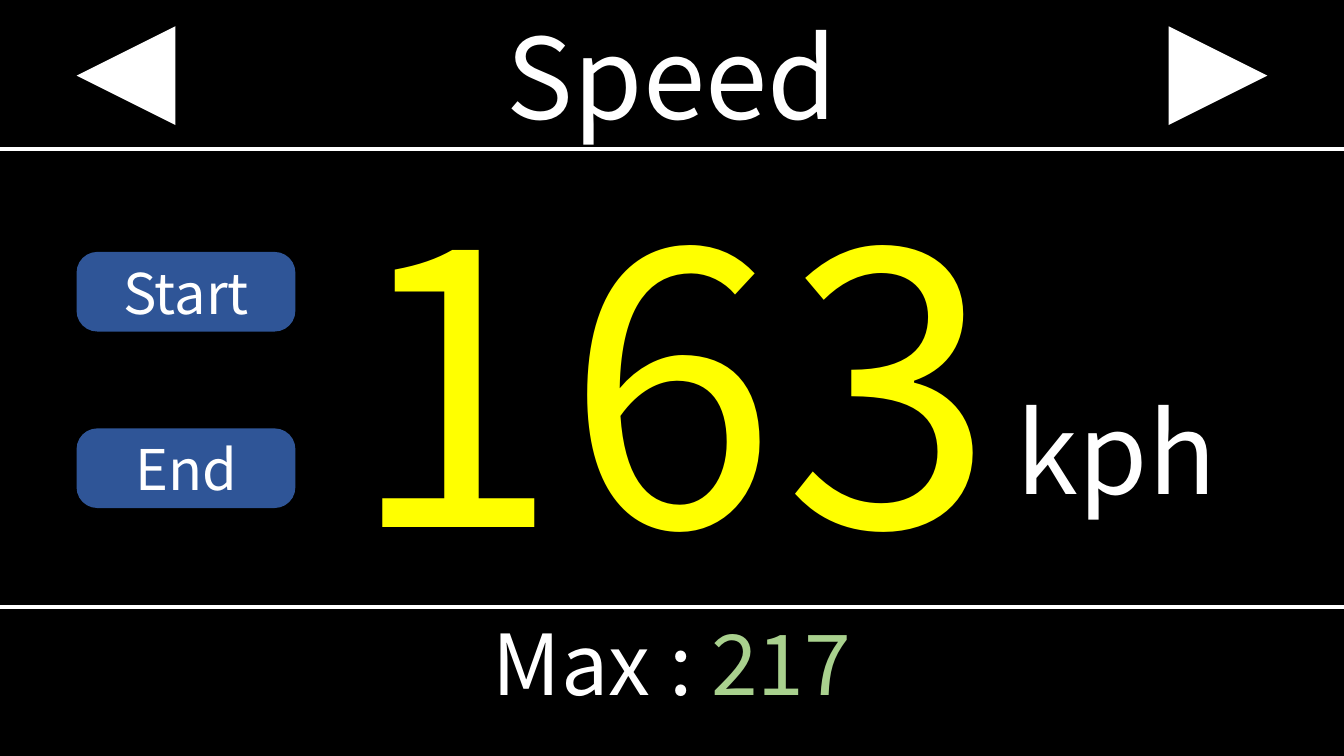
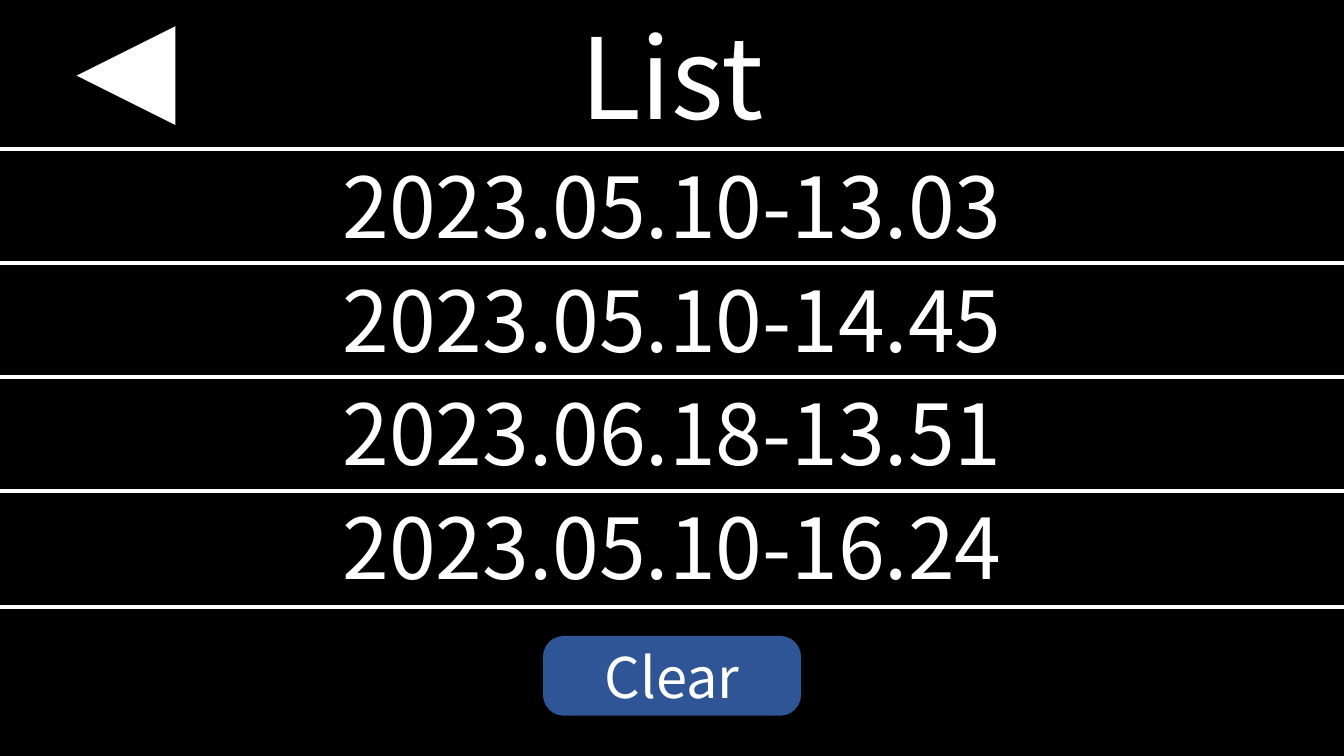
from dataclasses import dataclass

from lxml import etree
from pptx import Presentation
from pptx import util as u
from pptx.dml.color import RGBColor
from pptx.enum import shapes, text
from pptx.oxml.ns import qn


@dataclass(frozen=True)
class Theme:
    """Colours, type sizes (points) and the shared font."""
    font: str = "Noto Sans CJK KR"
    background: str = "000000"
    foreground: str = "FFFFFF"
    reading: str = "FFFF00"
    maximum: str = "A9D18E"
    button: str = "2F5597"
    reading_size: int = 270
    title_size: int = 80
    row_size: int = 60
    button_size: int = 40
    rule_width: int = 3
    reading_spacing: int = 6
    button_corner: float = 0.26


# Shared layout, in percent of the slide's width or height
MARGIN = 5.7
HEADER = 19.73
FOOTER = 100 - HEADER
ARROW_TOP, ARROW_WIDTH, ARROW_HEIGHT = 3.47, 7.35, 13.07
TITLE_HEIGHT = 19.33
ROW_PITCH, ROW_HEIGHT = 15.07, 14.8
BUTTON_WIDTH, BUTTON_HEIGHT = 16.28, 10.53


def centred(width):
    """Left edge of an element centred on the slide."""
    return (100 - width) / 2


class Screen:
    """Draws the display screens; every place is a percentage of the slide."""

    def __init__(self, theme):
        self.theme = theme
        self.presentation = Presentation()
        self.presentation.slide_width = u.Inches(13.33)
        self.presentation.slide_height = u.Inches(7.5)
        self.slide = None

    def x(self, share):
        return round(self.presentation.slide_width * share / 100)

    def y(self, share):
        return round(self.presentation.slide_height * share / 100)

    def box(self, left, top, width, height):
        return self.x(left), self.y(top), self.x(width), self.y(height)

    def new_slide(self, title):
        """Start a slide with the background, title, back arrow and rules."""
        blank = self.presentation.slide_layouts[6]
        self.slide = self.presentation.slides.add_slide(blank)
        fill = self.slide.background.fill
        fill.solid()
        fill.fore_color.rgb = RGBColor.from_string(self.theme.background)
        self.arrow(MARGIN, 270)
        self.rule(HEADER)
        self.rule(FOOTER)
        self.label(centred(40), 0.4, 40, TITLE_HEIGHT, [(title, self.theme.foreground)],
                   self.theme.title_size)

    def add_runs(self, shape, runs, size, spacing=0):
        paragraph = shape.text_frame.paragraphs[0]
        paragraph.alignment = text.PP_ALIGN.CENTER
        for words, colour in runs:
            run = paragraph.add_run()
            run.text = words
            run.font.name = self.theme.font
            run.font.size = u.Pt(size)
            run.font.color.rgb = RGBColor.from_string(colour)
            if spacing:
                run.font._element.set("spc", str(spacing * 100))

    def label(self, left, top, width, height, runs, size, spacing=0):
        shape = self.slide.shapes.add_textbox(*self.box(left, top, width, height))
        shape.text_frame.word_wrap = False
        shape.text_frame.auto_size = text.MSO_AUTO_SIZE.SHAPE_TO_FIT_TEXT
        self.add_runs(shape, runs, size, spacing)

    def solid(self, kind, colour, *place):
        shape = self.slide.shapes.add_shape(kind, *self.box(*place))
        shape.shadow.inherit = False
        shape.fill.solid()
        shape.fill.fore_color.rgb = RGBColor.from_string(colour)
        shape.line.fill.background()
        return shape

    def arrow(self, left, rotation):
        shape = self.solid(shapes.MSO_SHAPE.ISOSCELES_TRIANGLE, self.theme.foreground,
                           left, ARROW_TOP, ARROW_WIDTH, ARROW_HEIGHT)
        shape.rotation = rotation

    def rule(self, top):
        line = self.slide.shapes.add_connector(
            shapes.MSO_CONNECTOR.STRAIGHT, 0, self.y(top), self.x(100), self.y(top))
        line.line.color.rgb = RGBColor.from_string(self.theme.foreground)
        line.line.width = u.Pt(self.theme.rule_width)
        etree.SubElement(line._element.spPr, qn("a:effectLst"))

    def button(self, caption, left, top, width=BUTTON_WIDTH):
        shape = self.solid(shapes.MSO_SHAPE.ROUNDED_RECTANGLE, self.theme.button,
                           left, top, width, BUTTON_HEIGHT)
        shape.adjustments[0] = self.theme.button_corner
        shape.text_frame.vertical_anchor = text.MSO_ANCHOR.MIDDLE
        shape.text_frame.margin_top = shape.text_frame.margin_bottom = 0
        self.add_runs(shape, [(caption, self.theme.foreground)], self.theme.button_size)


def speed_slide(screen):
    theme = screen.theme
    screen.new_slide("Speed")
    screen.arrow(100 - MARGIN - ARROW_WIDTH, 90)
    # Current reading and its unit
    screen.label(23.4, 19.07, 53.25, 61.87, [("163", theme.reading)],
                 theme.reading_size, theme.reading_spacing)
    screen.label(74.64, 50, 16.88, TITLE_HEIGHT, [("kph", theme.foreground)],
                 theme.title_size)
    # Highest reading
    screen.label(centred(43.66), FOOTER, 43.66, ROW_HEIGHT,
                 [("Max : ", theme.foreground), ("217", theme.maximum)], theme.row_size)
    # Controls
    for caption, top in (("Start", 33.33), ("End", 56.67)):
        screen.button(caption, MARGIN, top)


def list_slide(screen):
    theme = screen.theme
    screen.new_slide("List")
    # Recorded runs, with a rule between neighbours
    records = ("2023.05.10-13.03", "2023.05.10-14.45",
               "2023.06.18-13.51", "2023.05.10-16.24")
    for index, record in enumerate(records):
        top = HEADER + index * ROW_PITCH
        if index:
            screen.rule(top)
        screen.label(centred(53.2), top, 53.2, ROW_HEIGHT,
                     [(record, theme.foreground)], theme.row_size)
    screen.button("Clear", centred(19.2), 84.13, 19.2)


def main():
    screen = Screen(Theme())
    speed_slide(screen)
    list_slide(screen)
    screen.presentation.save("out.pptx")


if __name__ == "__main__":
    main()
